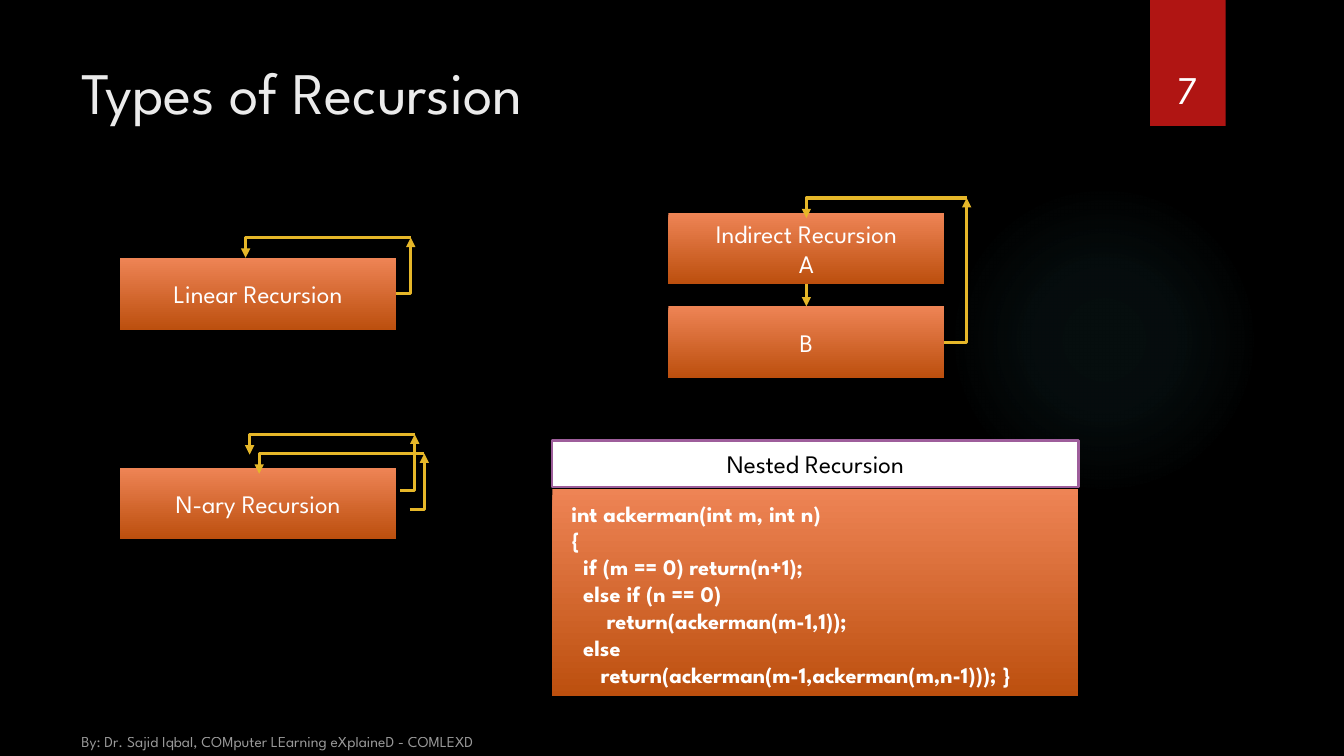
from dataclasses import dataclass

from lxml import etree
from pptx import Presentation, util as u
from pptx.dml.color import RGBColor
from pptx.enum import shapes, text
from pptx.oxml import parse_xml
from pptx.oxml.ns import nsdecls, qn


@dataclass(frozen=True)
class Theme:
    font: str = "League Spartan"
    background: str = "000000"
    ribbon: str = "B01513"
    glow: str = "50B9C1"
    box_top: str = "EE8455"
    box_bottom: str = "BC4F0E"
    arrow: str = "E6B729"
    heading_line: str = "9E5E9B"
    title: str = "EBEBEB"
    light: str = "FFFFFF"
    dark: str = "000000"
    title_size: int = 42
    number_size: int = 28
    label_size: int = 18
    code_size: int = 16
    footer_size: int = 11
    arrow_width: float = 2.25
    heading_width: float = 1.5


THEME = Theme()
WIDTH, HEIGHT = u.Inches(13.333), u.Inches(7.5)
COLUMNS, ROWS = 160, 90
BOX_W, BOX_H = 32.88, 8.52

CODE = """int ackerman(int m, int n)
{
  if (m == 0) return(n+1);
  else if (n == 0)
      return(ackerman(m-1,1));
  else
     return(ackerman(m-1,ackerman(m,n-1))); }"""


def rgb(value):
    return RGBColor.from_string(value)


def grid(*cells):
    """Turn column, row, column, row ... into lengths."""
    units = (WIDTH / COLUMNS, HEIGHT / ROWS)
    return [round(cell * units[i % 2]) for i, cell in enumerate(cells)]


def set_values(target, values):
    for name, value in values.items():
        setattr(target, name, value)


def write(shape, words, size, color, align=text.PP_ALIGN.LEFT, bold=False, **frame):
    set_values(shape.text_frame, {"word_wrap": True, **frame})
    shape.text_frame.text = words
    for paragraph in shape.text_frame.paragraphs:
        paragraph.alignment = align
        set_values(paragraph.font, {"name": THEME.font, "size": u.Pt(size), "bold": bold})
        paragraph.font.color.rgb = rgb(color)
        for run in paragraph.runs:
            set_values(run.font, {"name": THEME.font, "size": u.Pt(size), "bold": bold})
            run.font.color.rgb = rgb(color)


def add_text(slide, area, words, size, color, **style):
    box = slide.shapes.add_textbox(*grid(*area))
    write(box, words, size, color, **style)
    return box


def add_panel(slide, area, fill=None, line=None, kind=shapes.MSO_SHAPE.RECTANGLE):
    """A solid panel, or the orange gradient when no fill is given."""
    panel = slide.shapes.add_shape(kind, *grid(*area))
    panel.shadow.inherit = False
    if fill:
        panel.fill.solid()
        panel.fill.fore_color.rgb = rgb(fill)
    else:
        panel.fill.gradient()
        panel.fill.gradient_angle = 270
        stops = zip(panel.fill.gradient_stops, (THEME.box_top, THEME.box_bottom), (0, 1))
        for stop, color, position in stops:
            stop.color.rgb = rgb(color)
            stop.position = position
    if line:
        panel.line.color.rgb = rgb(line)
        panel.line.width = u.Pt(THEME.heading_width)
    else:
        panel.line.fill.background()
    return panel


def add_glow(slide, area):
    glow = add_panel(slide, area, THEME.glow, kind=shapes.MSO_SHAPE.OVAL)
    stops = "".join(
        f'<a:gs pos="{place}000"><a:srgbClr val="{THEME.glow}">'
        f'<a:alpha val="{alpha}000"/></a:srgbClr></a:gs>'
        for place, alpha in ((0, 7), (36, 6), (69, 0)))
    gradient = parse_xml(
        f'<a:gradFill {nsdecls("a")} rotWithShape="1"><a:gsLst>{stops}</a:gsLst>'
        '<a:path path="circle"><a:fillToRect l="50000" t="50000" r="50000" b="50000"/>'
        '</a:path></a:gradFill>')
    properties = glow.element.spPr
    properties.replace(properties.find(qn("a:solidFill")), gradient)


def add_box(slide, left, top, words):
    box = add_panel(slide, (left, top, BOX_W, BOX_H))
    write(box, words, THEME.label_size, THEME.light, align=text.PP_ALIGN.CENTER,
          vertical_anchor=text.MSO_ANCHOR.MIDDLE)
    return box


def add_arrow(slide, start, end, kind=shapes.MSO_CONNECTOR.ELBOW):
    arrow = slide.shapes.add_connector(kind, *grid(*start, *end))
    arrow.line.color.rgb = rgb(THEME.arrow)
    arrow.line.width = u.Pt(THEME.arrow_width)
    properties = arrow.element.spPr
    if kind == shapes.MSO_CONNECTOR.ELBOW:
        properties.find(qn("a:prstGeom")).set("prst", "bentConnector2")
    etree.SubElement(properties.find(qn("a:ln")), qn("a:tailEnd"), type="triangle")
    etree.SubElement(properties, qn("a:effectLst"))
    return arrow


def add_recursive_call(slide, left, top, step=1.74, rise=6.68, back=19.66):
    """Leave to the right, rise to a corner, then return left and down."""
    corner = (left + step, top - rise)
    add_arrow(slide, (left, top), corner)
    add_arrow(slide, corner, (corner[0] - back, corner[1] + 2.4))


def main():
    deck = Presentation()
    deck.slide_width, deck.slide_height = WIDTH, HEIGHT
    slide = deck.slides.add_slide(deck.slide_layouts[6])
    slide.background.fill.solid()
    slide.background.fill.fore_color.rgb = rgb(THEME.background)

    # Backdrop, title, number and footer
    add_glow(slide, (112.92, 21.96, 36.96, 36.96))
    add_panel(slide, (136.92, 0, 9, 15), THEME.ribbon)
    add_text(slide, (8.52, 6, 123.48, 18.36), "Types of Recursion",
             THEME.title_size, THEME.title)
    add_text(slide, (135.84, 3.84, 11.04, 10.08), "7", THEME.number_size, THEME.light,
             align=text.PP_ALIGN.CENTER, vertical_anchor=text.MSO_ANCHOR.BOTTOM)
    footer = add_text(slide, (8.52, 86.04, 50.64, 3.96),
                      "By: Dr. Sajid Iqbal, COMputer LEarning eXplaineD - COMLEXD",
                      THEME.footer_size, THEME.light,
                      vertical_anchor=text.MSO_ANCHOR.BOTTOM)
    for color in footer.element.iter(qn("a:srgbClr")):
        etree.SubElement(color, qn("a:alpha"), val="60000")

    # Linear recursion: one call
    left = 14.28
    add_box(slide, left, 30.72, "Linear Recursion")
    add_recursive_call(slide, left + BOX_W, 34.98)

    # N-ary recursion: several calls
    add_box(slide, left, 55.68, "N-ary Recursion")
    for call in range(2):
        add_recursive_call(slide, 47.64 + 1.14 * call, 58.4 + 2.28 * call)

    # Indirect recursion: A calls B, B calls A
    left = 79.56
    first = add_box(slide, left, 25.32, "Indirect Recursion\nA")
    second = add_box(slide, left, 36.48, "B")
    middle = left + BOX_W / 2
    link = add_arrow(slide, (middle, 33.84), (middle, 36.48), shapes.MSO_CONNECTOR.STRAIGHT)
    link.begin_connect(first, 2)
    link.end_connect(second, 0)
    add_recursive_call(slide, left + BOX_W, 40.74, step=2.64, rise=17.16, back=19.08)

    # Nested recursion: heading above code
    left, width = 65.76, 62.64
    add_panel(slide, (left, 58.2, width, 24.72))
    add_text(slide, (68.04, 59.4, 60, 22.56), CODE, THEME.code_size, THEME.light, bold=True,
             vertical_anchor=text.MSO_ANCHOR.MIDDLE,
             margin_left=0, margin_top=0, margin_right=0, margin_bottom=0)
    heading = add_panel(slide, (left, 52.44, width, 5.52), THEME.light, THEME.heading_line)
    write(heading, "Nested Recursion", THEME.label_size, THEME.dark,
          align=text.PP_ALIGN.CENTER, vertical_anchor=text.MSO_ANCHOR.MIDDLE)

    deck.save("out.pptx")


if __name__ == "__main__":
    main()
